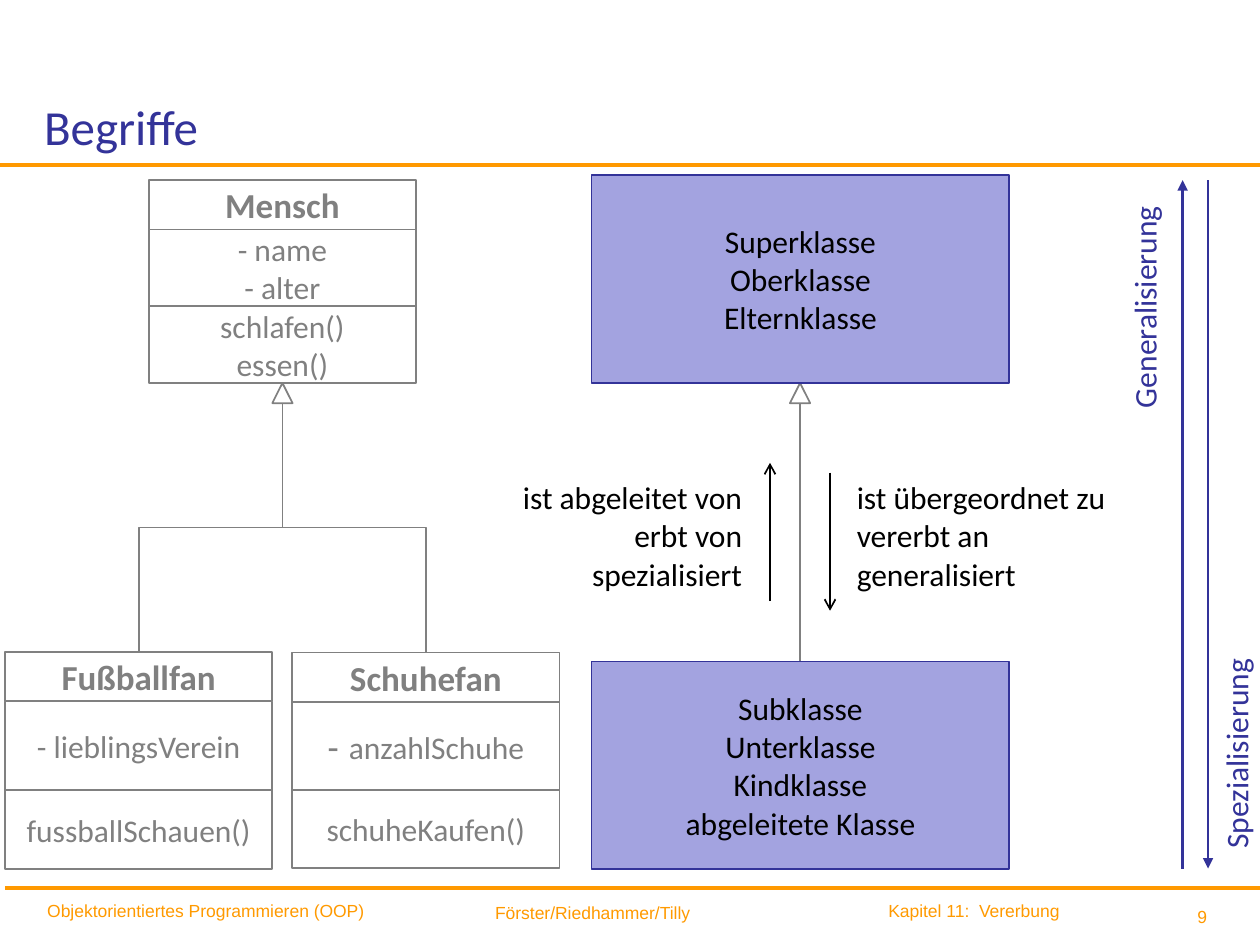
from lxml import etree
from pptx import Presentation
from pptx.dml.color import RGBColor
from pptx.enum.shapes import MSO_CONNECTOR, MSO_SHAPE
from pptx.enum.text import MSO_ANCHOR, PP_ALIGN
from pptx.oxml.ns import qn
from pptx.util import Pt

LEFT, CENTER, RIGHT = PP_ALIGN.LEFT, PP_ALIGN.CENTER, PP_ALIGN.RIGHT
TOP, MIDDLE, BOTTOM = MSO_ANCHOR.TOP, MSO_ANCHOR.MIDDLE, MSO_ANCHOR.BOTTOM
STRAIGHT, ELBOW = MSO_CONNECTOR.STRAIGHT, MSO_CONNECTOR.ELBOW
RECTANGLE = MSO_SHAPE.RECTANGLE
COLORS = {"navy": "333399", "orange": "FF9900", "footer": "FF9A00",
          "gray": "808080", "black": "000000", "lilac": "A3A3E0"}


def color(name):
    return RGBColor.from_string(COLORS[name])


def write(shape, text, size=18, font="Calibri", ink="black", bold=False,
          align=LEFT, anchor=TOP, gap=0.3, bullet=""):
    frame = shape.text_frame
    frame.word_wrap = True
    frame.vertical_anchor = anchor
    frame.margin_left = frame.margin_top = frame.margin_right = frame.margin_bottom = 0
    for index, line in enumerate(text.split("\n")):
        paragraph = frame.add_paragraph() if index else frame.paragraphs[0]
        paragraph.text = line
        paragraph.alignment = align
        paragraph.space_before = Pt(gap)
        for run in paragraph.runs:
            run.font.size, run.font.name, run.font.bold = Pt(size), font, bold
            run.font.color.rgb = color(ink)
        if bullet:
            first = paragraph.runs[0]
            run = paragraph.add_run()
            run.text, first.text = first.text, bullet
            run.font.size, run.font.name = first.font.size, font
            run.font.color.rgb = color(ink)
            first.font.size, first.font.name = Pt(20), "Arial"


class Diagram:
    """Draws the elements of an inheritance diagram on one slide, in points."""

    def __init__(self, slide):
        self.slide = slide
        self.shapes = slide.shapes

    def text(self, left, top, width, height, text, rotation=0, **style):
        shape = self.shapes.add_textbox(Pt(left), Pt(top), Pt(width), Pt(height))
        shape.rotation = rotation
        write(shape, text, **style)

    def footer(self, left, top, width, text, align=LEFT):
        self.text(left, top, width, 18, text, size=10, font="Arial",
                  ink="footer", align=align, gap=0)

    def outline(self, shape, line="gray", weight=1, fill=None):
        shape.shadow.inherit = False
        shape.line.color.rgb = color(line)
        shape.line.width = Pt(weight)
        if fill:
            shape.fill.solid()
            shape.fill.fore_color.rgb = color(fill)
        else:
            shape.fill.background()

    def box(self, left, top, width, height, text, outline=None, **style):
        shape = self.shapes.add_shape(RECTANGLE, Pt(left), Pt(top), Pt(width), Pt(height))
        self.outline(shape, **(outline or {}))
        write(shape, text, align=CENTER, anchor=MIDDLE, **style)

    def uml_class(self, left, edges, name, attributes, methods, bullet=""):
        styles = ({"size": 20, "bold": True, "gap": 0}, {"bullet": bullet}, {})
        parts = zip(edges, edges[1:], (name, attributes, methods), styles)
        for top, bottom, text, style in parts:
            self.box(left, top, 152.7, bottom - top, text, ink="gray", **style)

    def term_box(self, top, text):
        self.box(338.2, top, 238.5, 118.8, text,
                 {"line": "navy", "weight": 0.75, "fill": "lilac"})

    def line(self, start, end, ink, weight, head=None, kind=STRAIGHT):
        connector = self.shapes.add_connector(kind, *map(Pt, (*start, *end)))
        connector.line.color.rgb = color(ink)
        connector.line.width = Pt(weight)
        properties = connector.element.spPr
        etree.SubElement(properties, qn("a:effectLst"))
        if head:
            etree.SubElement(properties.find(qn("a:ln")), qn("a:tailEnd"), type=head)
        return connector

    def elbow(self, start, end):
        (x1, y1), (x2, y2) = start, end
        middle_x, middle_y = (x1 + x2) / 2, (y1 + y2) / 2
        rightward = x2 > x1
        half_x, half_y = (y1 - y2) / 2 * (1 if rightward else -1), abs(x2 - x1) / 2
        connector = self.line((middle_x - half_x, middle_y - half_y),
                              (middle_x + half_x, middle_y + half_y),
                              "gray", 1, kind=ELBOW)
        rotation = 270 if rightward else 90
        connector.element.spPr.find(qn("a:xfrm")).set("rot", str(rotation * 60000))

    def inheritance_head(self, x, top):
        builder = self.shapes.build_freeform(Pt(x), Pt(top))
        base = top + 11.5
        builder.add_line_segments([(Pt(x + 5.8), Pt(base)), (Pt(x - 5.8), Pt(base))])
        self.outline(builder.convert_to_shape())


def main():
    presentation = Presentation()
    presentation.slide_width, presentation.slide_height = Pt(720), Pt(540)
    diagram = Diagram(presentation.slides.add_slide(presentation.slide_layouts[6]))

    diagram.footer(570, 517.5, 119.7, "9", RIGHT)
    diagram.footer(250, 515.5, 144.3, "Förster/Riedhammer/Tilly", RIGHT)
    diagram.footer(507.6, 514, 150, "Kapitel 11:  Vererbung")
    diagram.footer(27, 514, 205, "Objektorientiertes Programmieren (OOP)")
    diagram.line((2.9, 507.3), (722.9, 507.3), "orange", 2)
    diagram.line((0, 94.2), (722.9, 94.2), "orange", 2)
    diagram.text(25.2, 21.6, 425.5, 67, "Begriffe", size=28, ink="navy",
                 anchor=BOTTOM, gap=0)

    diagram.uml_class(85, (103, 131.2, 175, 218.9), "Mensch",
                      "- name\n- alter", "schlafen()\vessen()")
    diagram.uml_class(2.9, (372.5, 400.8, 451.4, 496.5), "Fußballfan",
                      "- lieblingsVerein", "fussballSchauen()")
    diagram.uml_class(167, (372.8, 401, 451.4, 496), "Schuhefan",
                      "anzahlSchuhe", "schuheKaufen()", bullet="- ")
    for x in (161.4, 457.2):
        diagram.inheritance_head(x, 218.9)
    for x in (79.3, 243.4):
        diagram.elbow((x, 372.5), (161.4, 230.4))

    diagram.term_box(100, "Superklasse\nOberklasse\nElternklasse")
    diagram.term_box(377.8, "Subklasse\nUnterklasse\nKindklasse\nabgeleitete Klasse")
    diagram.line((457.2, 377.8), (457.2, 230.4), "gray", 1)
    diagram.text(285, 273.2, 139.1, 68, "ist abgeleitet von\nerbt von\nspezialisiert",
                 align=RIGHT)
    diagram.text(489.6, 273.2, 155, 68, "ist übergeordnet zu\nvererbt an\ngeneralisiert")
    diagram.line((440, 343.5), (440, 264.5), "black", 1, "arrow")
    diagram.line((474.3, 270), (474.3, 349), "black", 1, "arrow")

    diagram.line((675.8, 496.3), (675.8, 103), "navy", 1.5, "triangle")
    diagram.line((690.3, 103), (690.3, 496.3), "navy", 1.5, "triangle")
    for x, y, label in ((654, 175.5, "Generalisierung"), (706.4, 430.7, "Spezialisierung")):
        diagram.text(x - 65, y - 11, 130, 22, label, rotation=270, ink="navy", align=CENTER)

    presentation.save("out.pptx")


if __name__ == "__main__":
    main()
